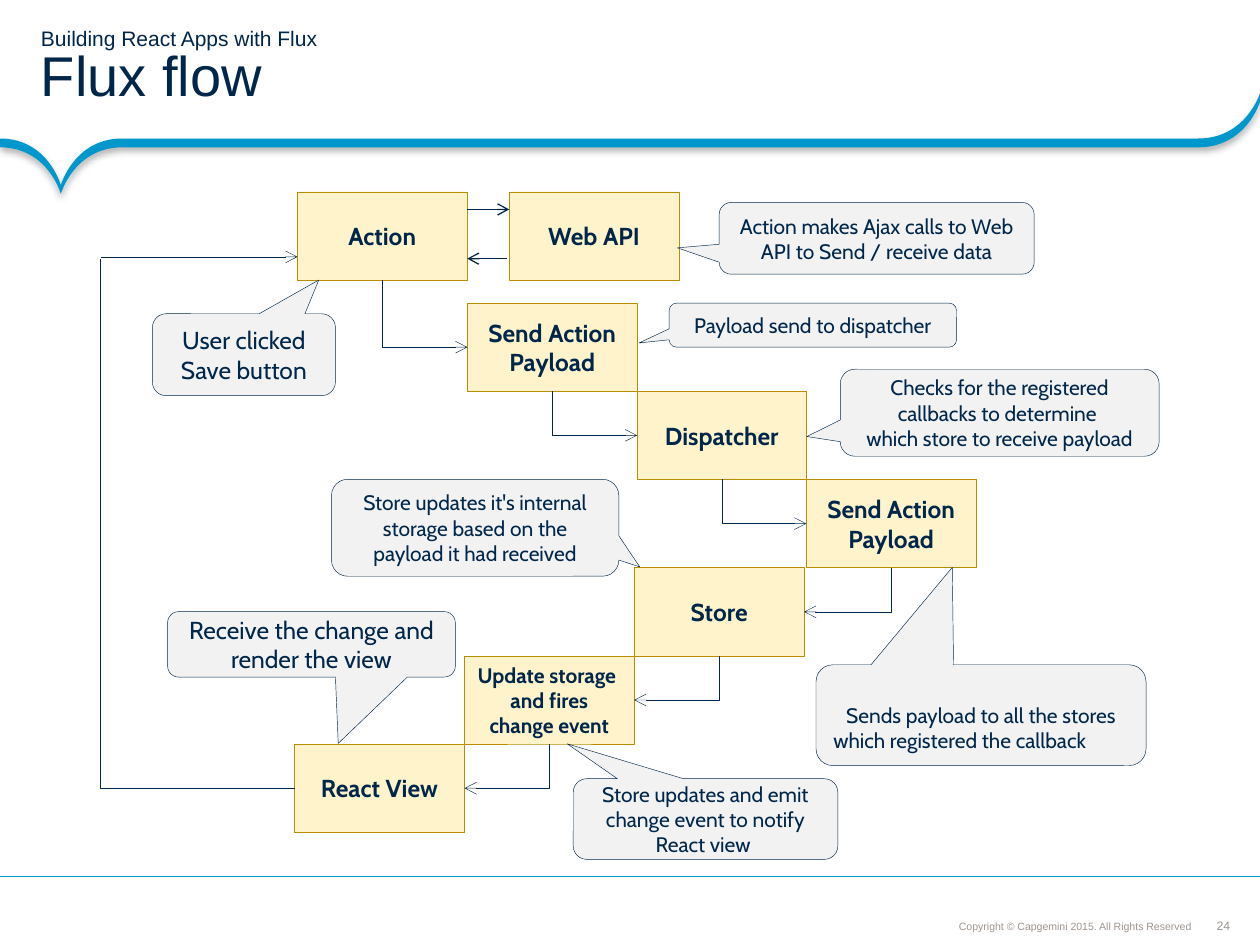
from copy import deepcopy
from dataclasses import dataclass
from itertools import cycle, pairwise

from lxml.etree import SubElement
from pptx import Presentation
from pptx.dml.color import RGBColor
from pptx.enum.shapes import MSO_CONNECTOR, MSO_SHAPE
from pptx.enum.text import MSO_ANCHOR, MSO_AUTO_SIZE, PP_ALIGN
from pptx.oxml.ns import qn
from pptx.util import Pt


@dataclass(frozen=True)
class Theme:
    ink: RGBColor = RGBColor(0x00, 0x26, 0x4A)
    accent: RGBColor = RGBColor(0x00, 0x98, 0xCC)
    step_fill: RGBColor = RGBColor(0xFF, 0xF3, 0xCB)
    step_line: RGBColor = RGBColor(0xB8, 0x8D, 0x01)
    note_fill: RGBColor = RGBColor(0xF2, 0xF2, 0xF2)
    muted: RGBColor = RGBColor(0x9F, 0x95, 0x8F)
    heading_font: str = "Arial"
    diagram_font: str = "Cabin"
    title: float = 32
    label: float = 14
    small: float = 12
    page: float = 7
    copyright: float = 6
    hairline: float = 0.25
    rule: float = 0.75


THEME = Theme()
SLIDE_WIDTH, SLIDE_HEIGHT = 720, 540
STEP_WIDTH, STEP_HEIGHT = 97, 50.4
FIRST_ROW, STAIR_TOP = 109.6, 173.2
LOOP_X, LOOP_Y = 57.6, 146.8
BOTTOM, LEFT, RIGHT = 2, 1, 3

STAIRS = [
    ("Send Action\nPayload", 267.1, THEME.label),
    ("Dispatcher", 364, THEME.label),
    ("Send Action\nPayload", 460.8, THEME.label),
    ("Store", 362.5, THEME.label),
    ("Update storage \nand fires change event", 265.4, THEME.small),
    ("React View", 168.4, THEME.label),
]
FLOW = [("Action", 170, FIRST_ROW, THEME.label)] + [
    (label, left, STAIR_TOP + index * STEP_HEIGHT, size)
    for index, (label, left, size) in enumerate(STAIRS)
]

NOTES = [
    ("User clicked Save button", (87.1, 179.3, 104.6, 46.8), (0.409, -0.913), THEME.label, 3.6),
    ("Payload send to dispatcher", (382.4, 173.2, 164.2, 25.2), (-0.605, 0.404), THEME.small, 3.6),
    ("Checks for the registered\ncallbacks to determine \nwhich store to receive payload",
     (480.2, 211, 182.2, 49.7), (-0.605, 0.274), THEME.small, 3.6),
    ("Sends payload to all the stores which registered the callback \t",
     (466.3, 379.9, 188.6, 57.6), (-0.087, -1.467), THEME.small, 18),
    ("Store updates it's internal storage based on the payload it had received",
     (189.4, 273.9, 164.2, 55.4), (0.573, 0.404), THEME.small, 3.6),
    ("Store updates and emit change event to notify React view ",
     (327.6, 445, 151.2, 46.1), (-0.523, -0.933), THEME.small, 3.6),
    ("Receive the change and render the view",
     (95.8, 349.5, 164.4, 37.4), (0.093, 1.514), THEME.label, 3.6),
    ("Action makes Ajax calls to Web API to Send / receive data",
     (411, 115.7, 180, 41), (-0.633, 0.133), THEME.small, 3.6),
]


def points(values):
    return [Pt(value) for value in values]


def write(frame, text, *, sizes, font=THEME.diagram_font, color=THEME.ink, bold=False,
          align=PP_ALIGN.CENTER, anchor=MSO_ANCHOR.MIDDLE, insets=(7.2, 3.6, 7.2, 3.6),
          spacing=1.0, wrap=True):
    frame.auto_size = MSO_AUTO_SIZE.NONE
    frame.word_wrap = wrap
    frame.vertical_anchor = anchor
    (frame.margin_left, frame.margin_top,
     frame.margin_right, frame.margin_bottom) = points(insets)
    paragraph = frame.paragraphs[0]
    paragraph.alignment = align
    paragraph.line_spacing = spacing
    paragraph.space_before = Pt(0)
    for index, (line, size) in enumerate(zip(text.split("\n"), cycle(sizes))):
        if index:
            paragraph.add_line_break()
        run = paragraph.add_run()
        run.text = line
        run.font.size = Pt(size)
        run.font.name = font
        run.font.bold = bold
        run.font.color.rgb = color
        if index:
            line_break = paragraph._p.findall(qn("a:br"))[-1]
            line_break.append(deepcopy(paragraph.runs[index - 1]._r.find(qn("a:rPr"))))


def add_panel(slide, kind, bounds, fill, outline):
    panel = slide.shapes.add_shape(kind, *points(bounds))
    panel.shadow.inherit = False
    panel.fill.solid()
    panel.fill.fore_color.rgb = fill
    panel.line.color.rgb = outline
    panel.line.width = Pt(THEME.hairline)
    return panel


def add_step(slide, label, left, top, size):
    step = add_panel(slide, MSO_SHAPE.RECTANGLE, (left, top, STEP_WIDTH, STEP_HEIGHT),
                     THEME.step_fill, THEME.step_line)
    write(step.text_frame, label, sizes=[size], bold=True)
    return step


def add_note(slide, text, bounds, pointer, size, top_inset):
    note = add_panel(slide, MSO_SHAPE.ROUNDED_RECTANGULAR_CALLOUT, bounds,
                     THEME.note_fill, THEME.ink)
    for index, value in enumerate((*pointer, 0.167)):
        note.adjustments[index] = value
    write(note.text_frame, text, sizes=[size], insets=(7.2, top_inset, 7.2, 3.6))


def style_line(line, width, color=THEME.ink, arrow=True):
    line.line.color.rgb = color
    line.line.width = Pt(width)
    properties = line._element.spPr
    if arrow:
        SubElement(properties.find(qn("a:ln")), qn("a:tailEnd"), type="arrow")
    SubElement(properties, qn("a:effectLst"))


def add_line(slide, start, end, width, **style):
    line = slide.shapes.add_connector(MSO_CONNECTOR.STRAIGHT, *points((*start, *end)))
    style_line(line, width, **style)


def add_elbow(slide, start, end, width, rotation, flip=False, source=None, target=None, arrow=True):
    elbow = slide.shapes.add_connector(MSO_CONNECTOR.ELBOW, *points((*start, *end)))
    if source:
        elbow.begin_connect(*source)
    if target:
        elbow.end_connect(*target)
    across, down = abs(end[0] - start[0]), abs(end[1] - start[1])
    if rotation != 180:
        across, down = down, across
    elbow.left = Pt((start[0] + end[0] - across) / 2)
    elbow.top = Pt((start[1] + end[1] - down) / 2)
    elbow.width, elbow.height = Pt(across), Pt(down)
    properties = elbow._element.spPr
    frame = properties.find(qn("a:xfrm"))
    frame.set("rot", str(rotation * 60000))
    frame.set("flipH", str(int(flip)))
    frame.set("flipV", "0")
    properties.find(qn("a:prstGeom")).set("prst", "bentConnector2")
    style_line(elbow, width, arrow=arrow)


def add_flow(slide):
    steps = [add_step(slide, *step) for step in FLOW]
    for (source, source_data), (target, target_data) in pairwise(zip(steps, FLOW)):
        _, left, top, _ = source_data
        _, next_left, next_top, _ = target_data
        rightward = next_left > left
        start = (left + STEP_WIDTH / 2, top + STEP_HEIGHT)
        end = (next_left if rightward else next_left + STEP_WIDTH, next_top + STEP_HEIGHT / 2)
        add_elbow(slide, start, end, THEME.hairline, 270 if rightward else 90, flip=rightward,
                  source=(source, BOTTOM), target=(target, LEFT if rightward else RIGHT))
    _, left, top, _ = FLOW[-1]
    add_elbow(slide, (left, top + STEP_HEIGHT / 2), (LOOP_X, LOOP_Y + 1), THEME.rule, 180,
              source=(steps[-1], LEFT), arrow=False)
    add_line(slide, (LOOP_X, LOOP_Y), (170, LOOP_Y), THEME.hairline)


def add_web_api(slide):
    add_step(slide, "Web API", 291, FIRST_ROW, THEME.label)
    add_line(slide, (267, 119.7), (291, 119.7), THEME.rule)
    add_line(slide, (289.5, 147.8), (267, 147.8), THEME.rule)


def add_header_band(slide):
    edge, tip, corner, drop = 79.2, (34.8, 105.8), (SLIDE_WIDTH, 53.3), 5.04
    upper = [(0, edge), tip, (69.8, edge), (684.7, edge), corner]
    bends = [((27.4, edge), tip), (tip, (42.5, edge)), None, ((712.1, edge), corner)]
    lower = [(x, y + drop) for x, y in reversed(upper)]
    lower_bends = [bend and [(x, y + drop) for x, y in reversed(bend)]
                   for bend in reversed(bends)]
    outline = [points(point) for point in upper + lower]
    builder = slide.shapes.build_freeform(*outline[0])
    builder.add_line_segments(outline[1:], close=True)
    band = builder.convert_to_shape()
    properties = band._element.spPr
    segments = list(properties.iter(qn("a:lnTo")))
    for segment, bend in zip(segments, [*bends, None, *lower_bends]):
        if bend:
            segment.tag = qn("a:cubicBezTo")
            for index, (x, y) in enumerate(bend):
                control = SubElement(segment, qn("a:pt"), x=str(Pt(x) - band.left),
                                     y=str(Pt(y) - band.top))
                segment.insert(index, control)
    band.fill.solid()
    band.fill.fore_color.rgb = THEME.accent
    band.line.fill.background()
    band.shadow.inherit = False
    shadow = SubElement(properties.find(qn("a:effectLst")), qn("a:outerShdw"),
                        blurRad=str(Pt(4)), dist=str(Pt(2)),
                        dir="5400000", algn="t", rotWithShape="0")
    SubElement(SubElement(shadow, qn("a:srgbClr"), val="000000"), qn("a:alpha"), val="31000")


def add_footer(slide):
    add_line(slide, (SLIDE_WIDTH, 500.8), (0, 500.8), THEME.rule, color=THEME.accent, arrow=False)
    notice = slide.shapes.add_textbox(*points((490, 521.3, 193.7, 14.4)))
    write(notice.text_frame, "Copyright © Capgemini 2015. All Rights Reserved",
          sizes=[THEME.copyright], font=THEME.heading_font, color=THEME.muted,
          align=PP_ALIGN.RIGHT, anchor=MSO_ANCHOR.BOTTOM, insets=[2.88] * 4, spacing=0.9)
    page = slide.shapes.add_textbox(*points((694.8, 524.6, 8.6, 8.6)))
    write(page.text_frame, "24", sizes=[THEME.page], font=THEME.heading_font,
          color=THEME.muted, insets=[0] * 4, wrap=False)


def add_title(slide):
    title = slide.shapes.title
    title.left, title.top, title.width, title.height = points((0, 0, SLIDE_WIDTH, 78.6))
    write(title.text_frame, "Building React Apps with Flux\nFlux flow",
          sizes=[THEME.small, THEME.title], font=THEME.heading_font, align=PP_ALIGN.LEFT,
          insets=(23.4, 2.88, 12.96, 2.88), spacing=0.85)


def main():
    deck = Presentation()
    deck.slide_width, deck.slide_height = points((SLIDE_WIDTH, SLIDE_HEIGHT))
    slide = deck.slides.add_slide(deck.slide_layouts[5])
    add_title(slide)
    add_header_band(slide)
    add_footer(slide)
    add_flow(slide)
    add_web_api(slide)
    for note in NOTES:
        add_note(slide, *note)
    deck.save("out.pptx")


if __name__ == "__main__":
    main()
